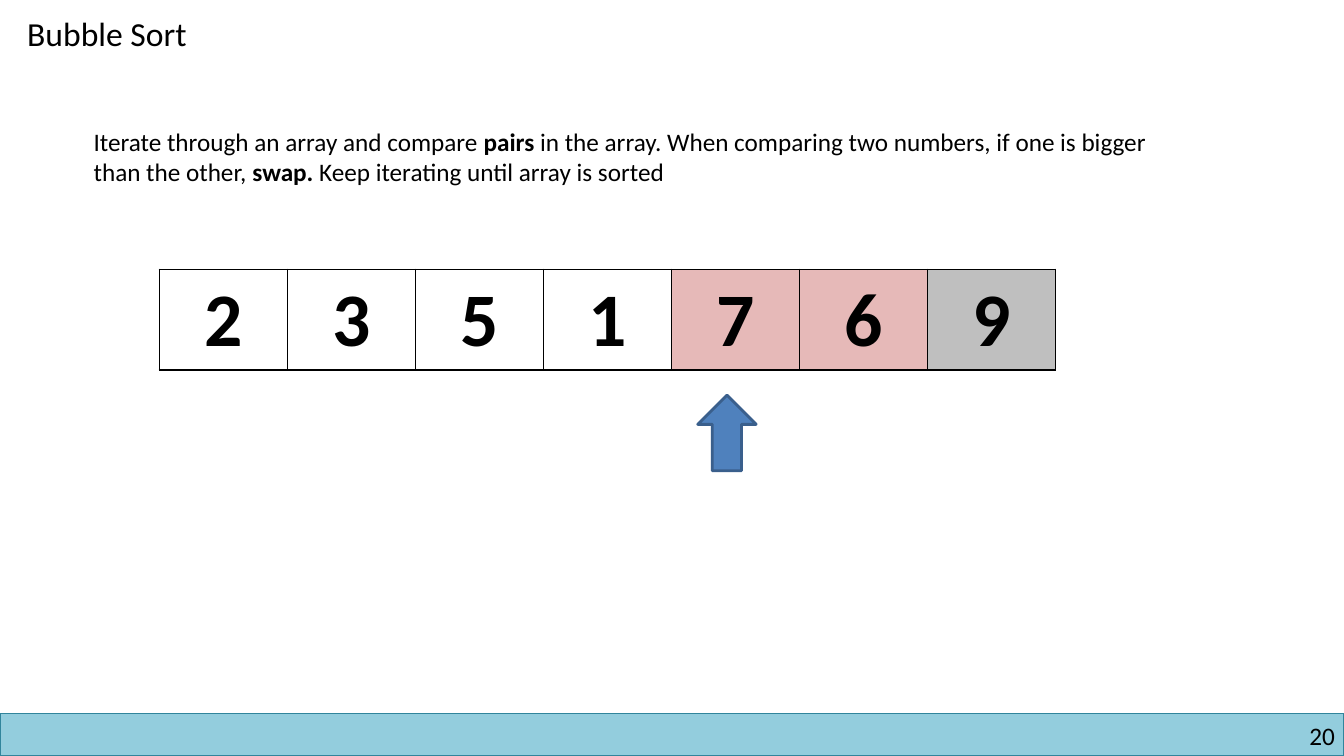
from lxml import etree
from pptx import Presentation
from pptx.dml.color import RGBColor
from pptx.enum import shapes, text
from pptx.oxml import ns
from pptx.util import Inches, Pt


def color(hex_value):
    return RGBColor.from_string(hex_value)


def set_font(paragraph, size, bold=None):
    paragraph.font.name = "Calibri"
    paragraph.font.size = Pt(size)
    paragraph.font.bold = bold
    paragraph.font.color.rgb = color("000000")


prs = Presentation()
prs.slide_width, prs.slide_height = Inches(13.33), Inches(7.5)
slide = prs.slides.add_slide(prs.slide_layouts[5])

# Footer bar and page number
footer = slide.shapes.add_shape(
    shapes.MSO_SHAPE.RECTANGLE, 0, Inches(7.08), Inches(13.33), Inches(0.42))
footer.shadow.inherit = False
footer.fill.solid()
footer.fill.fore_color.rgb = color("93CDDD")
footer.line.color.rgb = color("31859C")
footer.line.width = Pt(1)

page_number = slide.shapes.add_textbox(
    Inches(10.17), Inches(7.15), Inches(3.07), Inches(0.3)).text_frame
page_number.word_wrap = True
page_number.margin_left = page_number.margin_right = 0
page_number.margin_top = page_number.margin_bottom = 0
page_number.text = "20"
page_number.paragraphs[0].alignment = text.PP_ALIGN.RIGHT
set_font(page_number.paragraphs[0], 18)

# Title
title = slide.shapes.title
title.left, title.top = Inches(0.17), Inches(0.08)
title.width, title.height = Inches(1.96), Inches(0.5)
title.text_frame.text = "Bubble Sort"
title.text_frame.word_wrap = False
title.text_frame.vertical_anchor = text.MSO_ANCHOR.TOP
title.text_frame.paragraphs[0].alignment = text.PP_ALIGN.LEFT
set_font(title.text_frame.paragraphs[0], 24)

# Explanation
explanation = slide.shapes.add_textbox(
    Inches(0.83), Inches(1.2), Inches(11.08), Inches(0.71)).text_frame
explanation.word_wrap = True
sentence = explanation.paragraphs[0]
set_font(sentence, 18)
for words, bold in [
    ("Iterate through an array and compare ", False),
    ("pairs", True),
    (" in the array. When comparing two numbers, if one is bigger than the other, ", False),
    ("swap. ", True),
    ("Keep iterating until array is sorted", False),
]:
    run = sentence.add_run()
    run.text = words
    run.font.bold = bold

# Array: the compared pair is pink, the sorted tail is grey
numbers = [2, 3, 5, 1, 7, 6, 9]
fills = ["FFFFFF"] * 4 + ["E6B9B8"] * 2 + ["BFBFBF"]
array = slide.shapes.add_table(
    1, len(numbers), Inches(1.58), Inches(2.67), Inches(8.89), Inches(1)).table
array.first_row = array.horz_banding = False
for column, (number, fill) in enumerate(zip(numbers, fills)):
    array.columns[column].width = Inches(1.27)
    cell = array.cell(0, column)
    cell.text = str(number)
    cell.text_frame.paragraphs[0].alignment = text.PP_ALIGN.CENTER
    set_font(cell.text_frame.paragraphs[0], 54, True)
    cell_properties = cell._tc.get_or_add_tcPr()
    for side in ("a:lnL", "a:lnR", "a:lnT", "a:lnB"):
        border = etree.SubElement(cell_properties, ns.qn(side), w=str(Pt(1)))
        border_fill = etree.SubElement(border, ns.qn("a:solidFill"))
        etree.SubElement(border_fill, ns.qn("a:srgbClr"), val="000000")
    cell.fill.solid()
    cell.fill.fore_color.rgb = color(fill)

# Pointer to the current position
pointer = slide.shapes.add_shape(
    shapes.MSO_SHAPE.UP_ARROW, Inches(6.92), Inches(3.92), Inches(0.58), Inches(0.75))
pointer.shadow.inherit = False
pointer.fill.solid()
pointer.fill.fore_color.rgb = color("4F81BD")
pointer.line.color.rgb = color("3A5F8C")
pointer.line.width = Pt(2)

prs.save("out.pptx")
